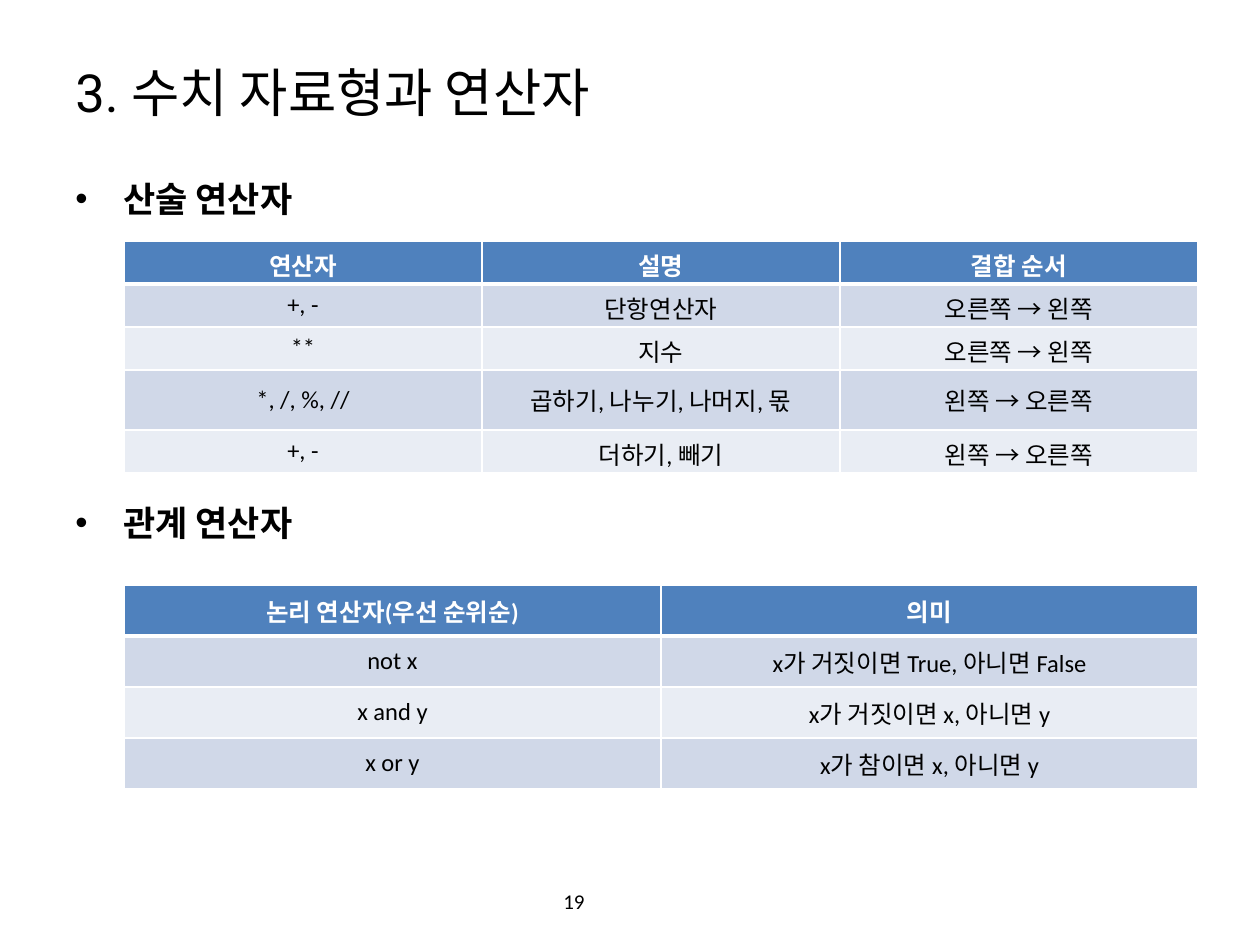
from lxml import etree
from pptx import Presentation
from pptx.dml.color import RGBColor
from pptx.enum.text import MSO_ANCHOR, PP_ALIGN
from pptx.oxml.ns import qn
from pptx.util import Pt

PX = 914400 / 126
LEFT, CENTER = PP_ALIGN.LEFT, PP_ALIGN.CENTER
TOP, MIDDLE = MSO_ANCHOR.TOP, MSO_ANCHOR.MIDDLE
COLORS = {
    "text": "000000",
    "white": "FFFFFF",
    "header": "4F81BD",
    "odd": "D0D8E8",
    "even": "E9EDF4",
}


def px(n):
    return round(n * PX)


def rgb(name):
    return RGBColor.from_string(COLORS[name])


class SlideBuilder:
    heading_font = "Roboto"
    body_font = "Calibri"

    def __init__(self, slide):
        self.slide = slide

    def style(self, p, size, font, color="text", bold=False, align=LEFT):
        p.alignment = align
        for r in p.runs:
            r.font.size = Pt(size)
            r.font.name = font
            r.font.bold = bold
            r.font.color.rgb = rgb(color)

    def text(self, box, text, size, font, bold=False, align=LEFT, anchor=MIDDLE):
        sp = self.slide.shapes.add_textbox(*map(px, box))
        tf = sp.text_frame
        tf.word_wrap = True
        tf.vertical_anchor = anchor
        tf.text = text
        p = tf.paragraphs[0]
        self.style(p, size, font, bold=bold, align=align)
        return p

    def bullet(self, box, text):
        p = self.text(box, text, 20, self.heading_font, bold=True, anchor=TOP)
        pPr = p._p.get_or_add_pPr()
        pPr.set("marL", str(px(48)))
        pPr.set("indent", str(-px(48)))
        etree.SubElement(pPr, qn("a:buFont"), typeface="Arial")
        etree.SubElement(pPr, qn("a:buChar"), char="•")

    def borders(self, cell, row):
        tcPr = cell._tc.get_or_add_tcPr()
        # A thick rule separates the header from the body
        widths = {"L": 1, "R": 1, "T": 3 if row == 1 else 1, "B": 3 if row == 0 else 1}
        for side, width in widths.items():
            ln = etree.SubElement(tcPr, qn(f"a:ln{side}"), w=str(Pt(width)))
            fill = etree.SubElement(ln, qn("a:solidFill"))
            etree.SubElement(fill, qn("a:srgbClr"), val=COLORS["white"])

    def table(self, left, top, width, heights, rows):
        n_cols = len(rows[0])
        frame = self.slide.shapes.add_table(
            len(rows), n_cols, px(left), px(top), px(width), px(sum(heights)))
        table = frame.table
        for col in table.columns:
            col.width = px(width / n_cols)
        for i, (height, values) in enumerate(zip(heights, rows)):
            table.rows[i].height = px(height)
            is_header = i == 0
            fill = "header" if is_header else "odd" if i % 2 else "even"
            for j, value in enumerate(values):
                cell = table.cell(i, j)
                self.borders(cell, i)
                cell.fill.solid()
                cell.fill.fore_color.rgb = rgb(fill)
                cell.vertical_anchor = MIDDLE
                cell.text_frame.text = value
                self.style(cell.text_frame.paragraphs[0], 14, self.body_font,
                           "white" if is_header else "text", is_header, CENTER)


def main():
    prs = Presentation()
    prs.slide_width, prs.slide_height = px(1260), px(945)
    s = SlideBuilder(prs.slides.add_slide(prs.slide_layouts[6]))

    # Title
    s.text((63, 38, 1134, 106), "3. 수치 자료형과 연산자", 30, s.heading_font)

    # Arithmetic operators
    s.bullet((63, 171, 1134, 60), "산술 연산자")
    s.table(124, 241, 1074, [43, 43, 43, 60, 43], [
        ["연산자", "설명", "결합 순서"],
        ["+, -", "단항연산자", "오른쪽 → 왼쪽"],
        ["**", "지수", "오른쪽 → 왼쪽"],
        ["*, /, %, //", "곱하기, 나누기, 나머지, 몫", "왼쪽 → 오른쪽"],
        ["+, -", "더하기, 빼기", "왼쪽 → 오른쪽"],
    ])

    # Relational operators
    s.bullet((63, 495, 1134, 60), "관계 연산자")
    s.table(124, 585, 1074, [51] * 4, [
        ["논리 연산자(우선 순위순)", "의미"],
        ["not x", "x가 거짓이면 True, 아니면 False"],
        ["x and y", "x가 거짓이면 x, 아니면 y"],
        ["x or y", "x가 참이면 x, 아니면 y"],
    ])

    # Page number
    s.text((427, 876, 294, 50), "19", 12, s.body_font, align=CENTER)

    prs.save("out.pptx")


if __name__ == "__main__":
    main()
